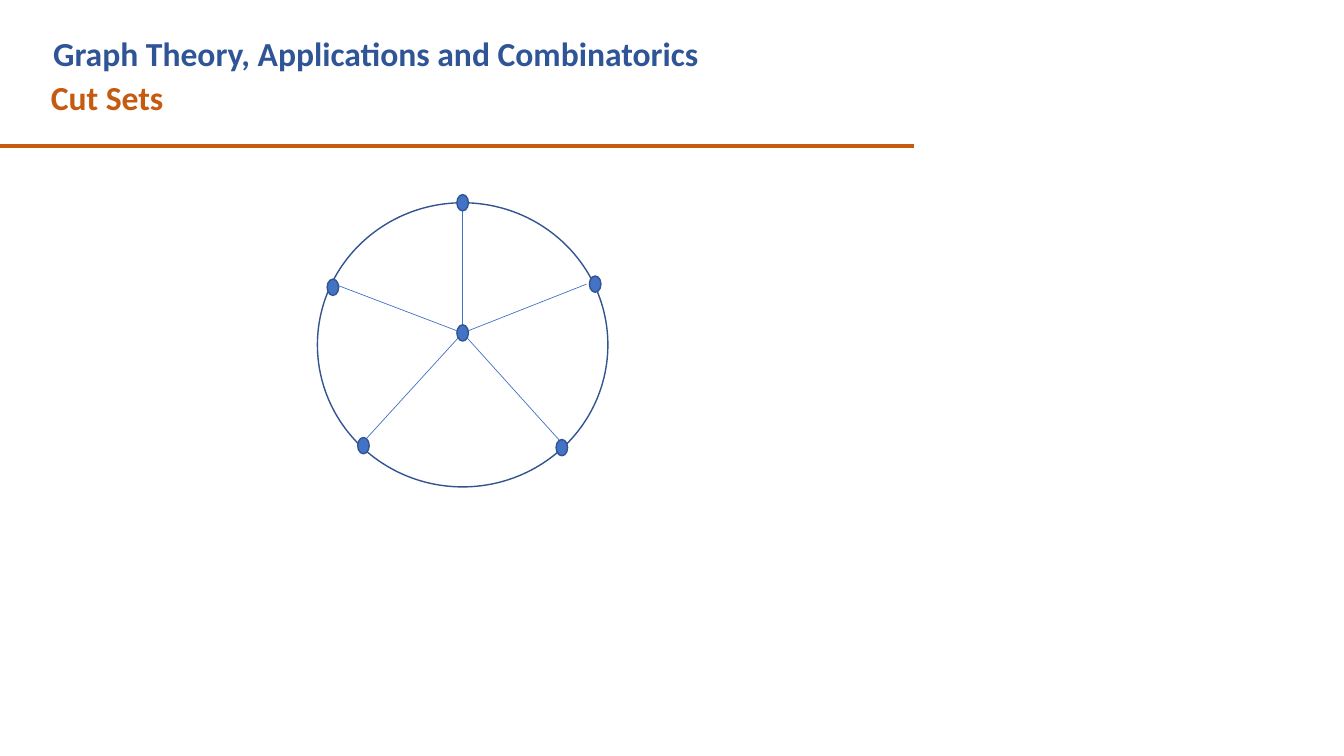
from lxml.etree import SubElement
from pptx import Presentation
from pptx.dml.color import RGBColor
from pptx.enum.shapes import MSO_CONNECTOR as Connector, MSO_SHAPE as Shape
from pptx.enum.text import MSO_AUTO_SIZE as AutoSize
from pptx.oxml.ns import qn
from pptx.util import Cm, Pt

NAVY, ORANGE, BLUE, OUTLINE = "2F5597", "C55A11", "4472C4", "325491"
HUB = (11.66, 8.39)
RIM_VERTICES = [(9.16, 11.23), (14.16, 11.28), (8.39, 7.24), (11.66, 5.11), (15, 7.16)]
SPOKE_ENDS = [(11.66, 5.11), (8.43, 7.16), (14.78, 7.16), (9.07, 11.23), (14.22, 11.23)]


def color(value):
    return RGBColor.from_string(value)


def add_text(page, text, *, left, top, width, height, size, fill):
    box = page.shapes.add_textbox(Cm(left), Cm(top), Cm(width), Cm(height))
    box.text_frame.word_wrap = True
    box.text_frame.auto_size = AutoSize.SHAPE_TO_FIT_TEXT
    span = box.text_frame.paragraphs[0].add_run()
    span.text = text
    span.font.name = "Calibri"
    span.font.size = Pt(size)
    span.font.bold = True
    span.font.color.rgb = color(fill)


def add_line(shapes, start, end, stroke, weight):
    line = shapes.add_connector(Connector.STRAIGHT, *map(Cm, start + end))
    line.line.color.rgb = color(stroke)
    line.line.width = Pt(weight)
    SubElement(line._element.spPr, qn("a:effectLst"))


def add_ellipse(shapes, center, width, height, fill=None):
    x, y = center
    ellipse = shapes.add_shape(
        Shape.OVAL, Cm(x - width / 2), Cm(y - height / 2), Cm(width), Cm(height)
    )
    ellipse.shadow.inherit = False
    if fill:
        ellipse.fill.solid()
        ellipse.fill.fore_color.rgb = color(fill)
    else:
        ellipse.fill.background()
    ellipse.line.color.rgb = color(OUTLINE)
    ellipse.line.width = Pt(1)


def add_wheel_graph(page):
    wheel = page.shapes.add_group_shape().shapes
    add_ellipse(wheel, (11.66, 8.69), 7.32, 7.16)
    for end in SPOKE_ENDS:
        add_line(wheel, HUB, end, BLUE, 0.5)
    for vertex in RIM_VERTICES + [HUB]:
        add_ellipse(wheel, vertex, 0.29, 0.41, BLUE)


def main():
    deck = Presentation()
    deck.slide_width, deck.slide_height = Cm(33.87), Cm(19.05)
    page = deck.slides.add_slide(deck.slide_layouts[6])
    add_text(page, "Cut Sets", left=1.03, top=1.81, width=22.23, height=1.28,
             size=24, fill=ORANGE)
    add_line(page.shapes, (-0.02, 3.67), (23.04, 3.67), ORANGE, 3)
    add_text(page, "Graph Theory, Applications and Combinatorics",
             left=1.09, top=0.7, width=20.83, height=1.28, size=24, fill=NAVY)
    add_wheel_graph(page)
    deck.save("out.pptx")


if __name__ == "__main__":
    main()
